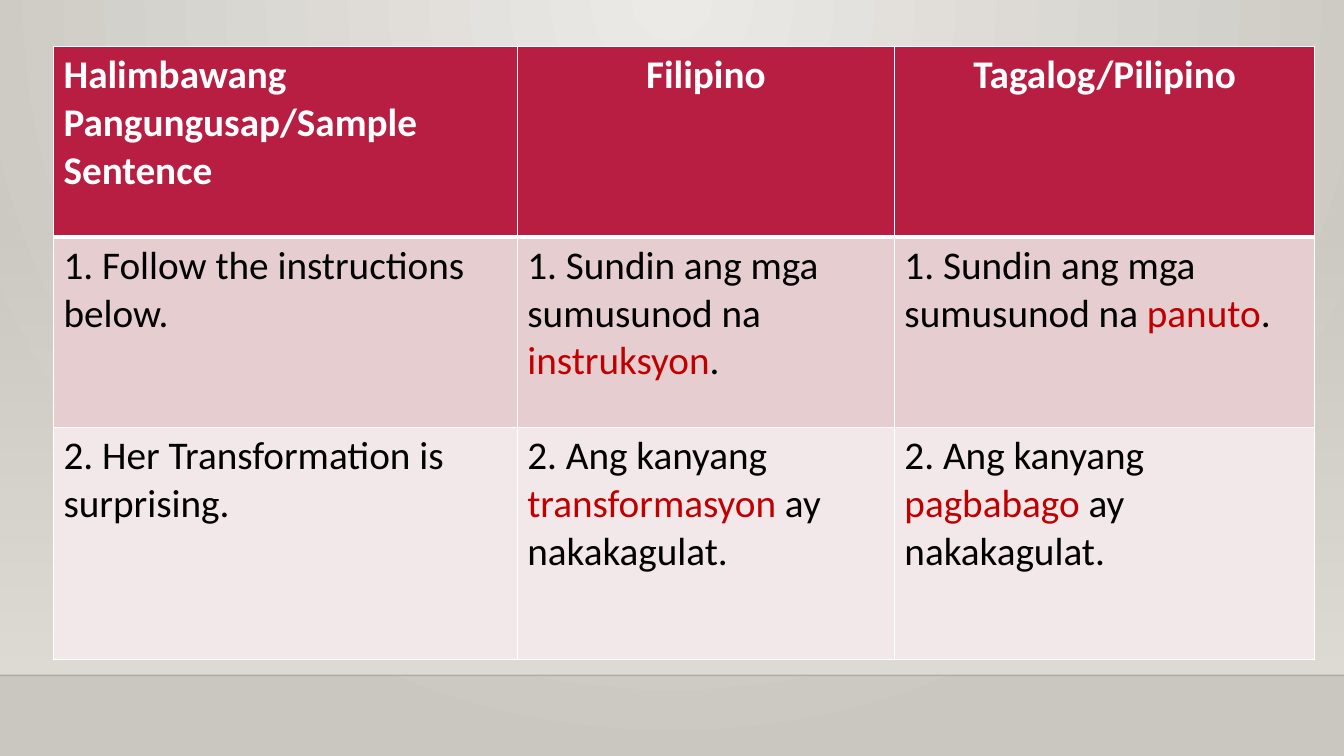
import pptx
import pptx.util
import pptx.dml.color
import pptx.enum.shapes
import pptx.enum.text
import pptx.oxml
import pptx.oxml.ns

qn = pptx.oxml.ns.qn


class Theme:
    font = "Calibri"
    size = 28
    glow, edge = "ECEAE7", "CAC7C1"
    wall = "DFDBD5"
    ledge = "000001"
    white, black = "FFFFFF", "000000"
    head = "B71E42"
    bands = ("E6CDCF", "F3E8E9")
    mark = "C00000"
    thin, thick = 1, 3


def rgb(code):
    return pptx.dml.color.RGBColor.from_string(code)


def xml(text):
    space = pptx.oxml.ns.nsdecls("a")
    return pptx.oxml.parse_xml(text.replace(">", f" {space}>", 1))


def fade(color, share):
    color.append(xml(f'<a:alpha val="{share * 1000}"></a:alpha>'))


class Page:
    """One slide; lengths are percentages of its width and height."""

    def __init__(self, deck, theme):
        self.deck, self.theme = deck, theme
        self.slide = deck.slides.add_slide(deck.slide_layouts[6])
        self.shapes = self.slide.shapes

    def wide(self, share):
        return round(self.deck.slide_width * share / 100)

    def high(self, share):
        return round(self.deck.slide_height * share / 100)

    def blend(self, fill, first, last):
        fill.gradient()
        for stop, code, place in zip(fill.gradient_stops, (first, last), (0, 1)):
            stop.color.rgb = rgb(code)
            stop.position = place

    def back(self):
        self.blend(self.slide.background.fill, self.theme.glow, self.theme.edge)
        grad = next(self.slide.element.iter(qn("a:gradFill")))
        grad.replace(grad.find(qn("a:lin")), xml(
            '<a:path path="circle"><a:fillToRect l="43000" t="0" r="43000" b="100000"/></a:path>'))

    def wall(self, top, height):
        kind = pptx.enum.shapes.MSO_SHAPE.RECTANGLE
        box = self.shapes.add_shape(
            kind, 0, self.high(top), self.wide(100), self.high(height))
        box.shadow.inherit = False
        box.line.fill.background()
        self.blend(box.fill, self.theme.wall, self.theme.wall)
        box.fill.gradient_angle = 270
        fade(next(box.element.iter(qn("a:srgbClr"))), 0)

    def rule(self, top):
        kind = pptx.enum.shapes.MSO_CONNECTOR.STRAIGHT
        line = self.shapes.add_connector(
            kind, 0, self.high(top), self.wide(100), self.high(top))
        line.line.color.rgb = rgb(self.theme.ledge)
        line.line.width = pptx.util.Pt(1)
        fade(next(line.element.iter(qn("a:srgbClr"))), 20)
        line.element.spPr.append(xml("<a:effectLst></a:effectLst>"))

    def edges(self, cell, top, bottom):
        thin = self.theme.thin
        sides = {"L": thin, "R": thin, "T": top, "B": bottom}
        for side, width in sides.items():
            cell._tc.get_or_add_tcPr().append(xml(
                f'<a:ln{side} w="{pptx.util.Pt(width)}"><a:solidFill>'
                f'<a:srgbClr val="{self.theme.white}"/></a:solidFill></a:ln{side}>'))

    def text(self, para, words, color, bold):
        run = para.add_run()
        run.text = words
        run.font.name = self.theme.font
        run.font.size = pptx.util.Pt(self.theme.size)
        run.font.bold = bold
        run.font.color.rgb = rgb(color)

    def table(self, left, top, cols, rows, data):
        look = self.theme
        grid = self.shapes.add_table(
            len(rows), len(cols), self.wide(left), self.high(top),
            self.wide(sum(cols)), self.high(sum(rows))).table
        for col, share in zip(grid.columns, cols):
            col.width = self.wide(share)
        for row, share in zip(grid.rows, rows):
            row.height = self.high(share)
        for r, line in enumerate(data):
            head = r == 0
            for c, parts in enumerate(line):
                cell = grid.cell(r, c)
                self.edges(cell, look.thick if r == 1 else look.thin,
                           look.thick if head else look.thin)
                cell.fill.solid()
                cell.fill.fore_color.rgb = rgb(look.head if head else look.bands[r - 1])
                para = cell.text_frame.paragraphs[0]
                if head and c:
                    para.alignment = pptx.enum.text.PP_ALIGN.CENTER
                # The second part of a sentence is the highlighted word
                plain = look.white if head else look.black
                for i, words in enumerate(parts):
                    self.text(para, words, look.mark if i == 1 else plain, head)


def main():
    deck = pptx.Presentation()
    deck.slide_width = pptx.util.Inches(13.33)
    deck.slide_height = pptx.util.Inches(7.5)
    page = Page(deck, Theme)

    # Backdrop
    page.back()
    page.wall(29.47, 59.86)
    page.rule(89.33)

    # Sentence table
    follow, her = "1. Sundin ang mga sumusunod na ", "2. Ang kanyang "
    end = " ay nakakagulat."
    page.table(3.98, 6.13, (34.51, 28.06, 31.28), (25.2, 25.2, 30.67), [
        [["Halimbawang Pangungusap/Sample Sentence"], ["Filipino"], ["Tagalog/Pilipino"]],
        [["1. Follow the instructions below."],
         [follow, "instruksyon", "."], [follow, "panuto", "."]],
        [["2. Her Transformation is surprising."],
         [her, "transformasyon", end], [her, "pagbabago", end]],
    ])
    deck.save("out.pptx")


if __name__ == "__main__":
    main()
